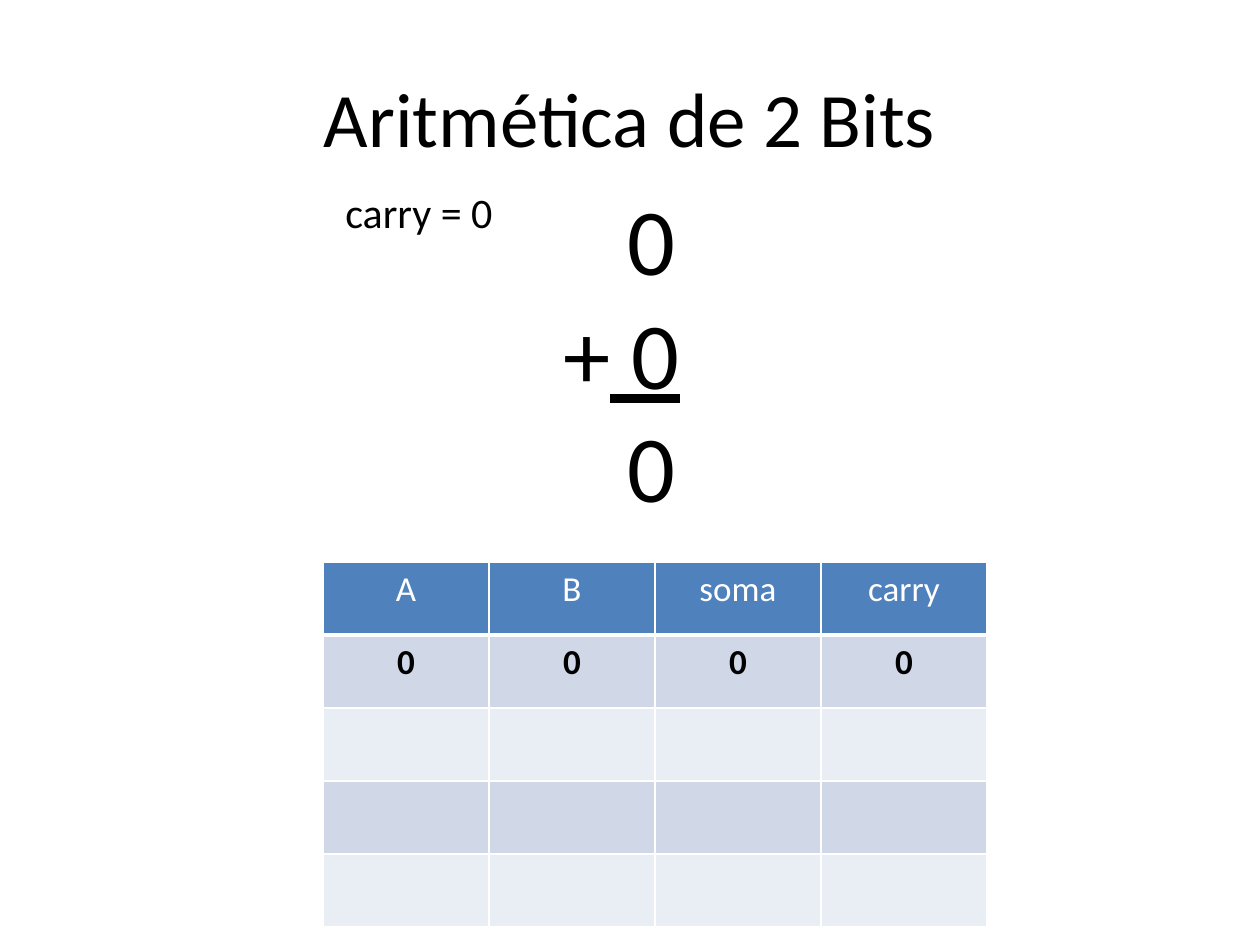
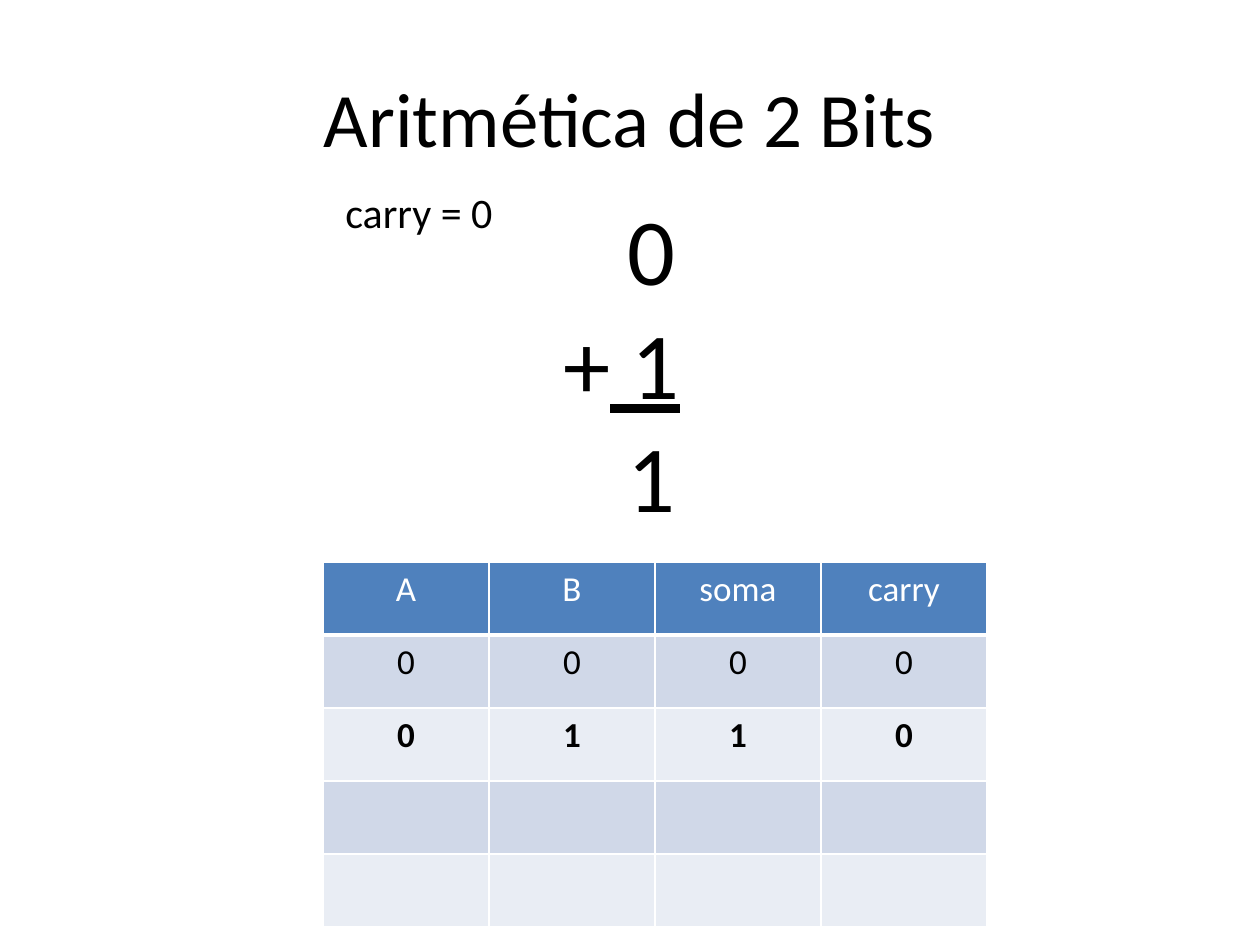
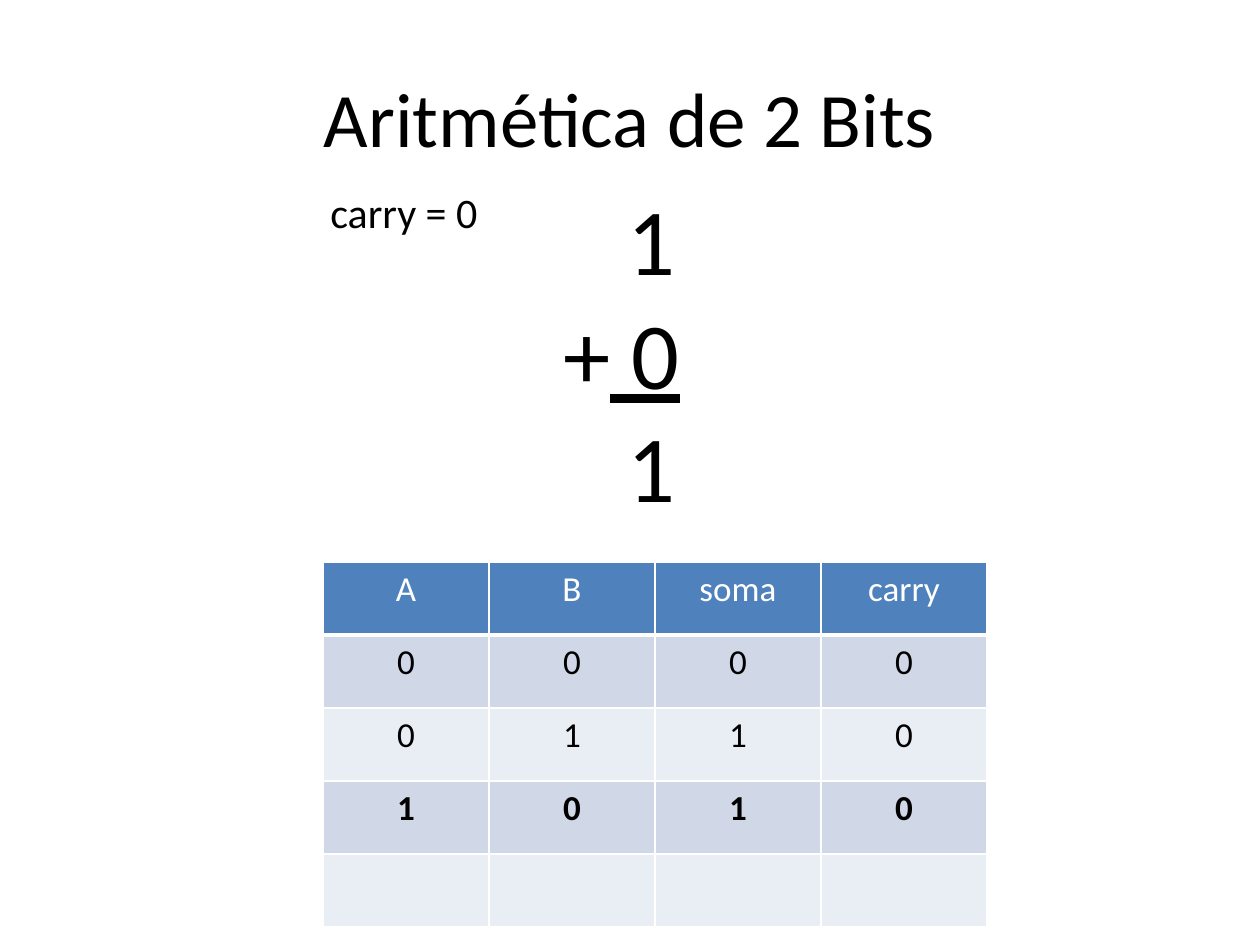
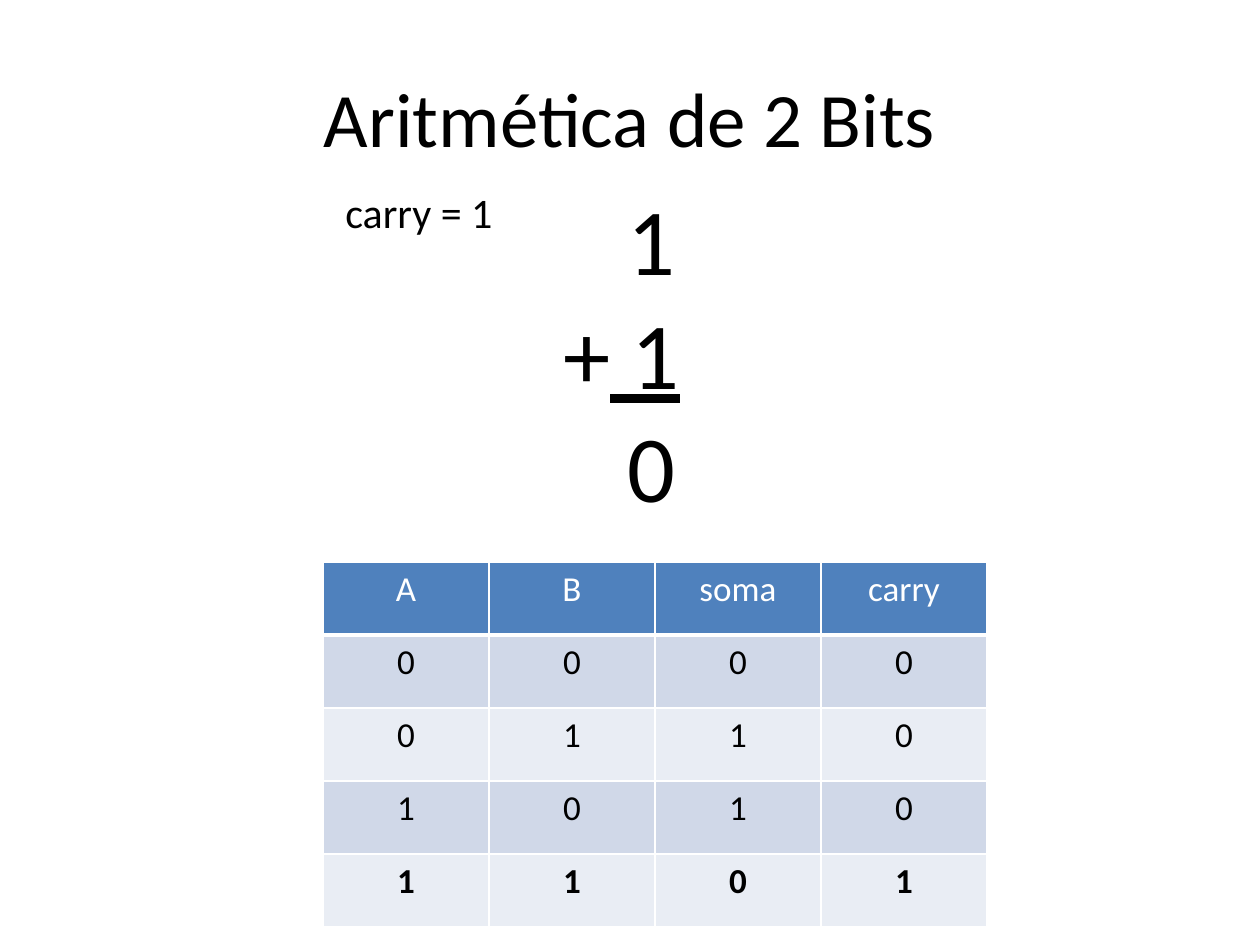
import itertools

import pptx
import pptx.dml.color
import pptx.enum.text
import pptx.oxml.ns
import pptx.util
from lxml import etree

# Shared look
PX = 914400 / 126
FONT = "Calibri"
COLORS = {
    "paper": "FFFFFF",
    "ink": "000000",
    "header": "4F81BD",
    "band_dark": "D0D8E8",
    "band_light": "E9EDF4",
}
TITLE = "Aritmética de 2 Bits"
HEADERS = ["A", "B", "soma", "carry"]
COLUMN_WIDTH, ROW_HEIGHT = 166, 73
DIGIT_INDENT = 64  # places a digit under the one that follows the plus sign

ALIGN = pptx.enum.text.PP_ALIGN
AUTO_SIZE = pptx.enum.text.MSO_AUTO_SIZE
ANCHOR = pptx.enum.text.MSO_ANCHOR


def px(*lengths):
    return [pptx.util.Emu(round(length * PX)) for length in lengths]


def add_span(para, text, size, color="ink", bold=False, underline=False):
    span = para.add_run()
    span.text = text
    span.font.name = FONT
    span.font.size = pptx.util.Pt(size)
    span.font.color.rgb = pptx.dml.color.RGBColor.from_string(COLORS[color])
    span.font.bold = bold
    span.font.underline = underline


deck = pptx.Presentation()
deck.slide_width, deck.slide_height = px(1260, 945)

# Truth table of the half adder: each slide reveals one more row
bit_pairs = itertools.product((0, 1), repeat=2)
additions = [(a, b, a ^ b, a & b) for a, b in bit_pairs]
sum_tops = [175, 185, 175, 175]
carry_lefts = [333, 333, 318, 333]

for step, (a, b, total, carry) in enumerate(additions):
    page = deck.slides.add_slide(deck.slide_layouts[6])

    # Title
    box = page.shapes.add_textbox(*px(63, 38, 1134, 158))
    box.text_frame.word_wrap = True
    box.text_frame.vertical_anchor = ANCHOR.MIDDLE
    para = box.text_frame.paragraphs[0]
    para.alignment = ALIGN.CENTER
    add_span(para, TITLE, 44)

    # Written addition
    box = page.shapes.add_textbox(*px(551, sum_tops[step], 228, 357))
    frame = box.text_frame
    frame.word_wrap = True
    frame.auto_size = AUTO_SIZE.SHAPE_TO_FIT_TEXT
    first, second, result = frame.paragraphs[0], frame.add_paragraph(), frame.add_paragraph()
    for para, digit in ((first, a), (result, total)):
        indent = px(DIGIT_INDENT)[0]
        para._p.get_or_add_pPr().set("marL", str(indent))
        add_span(para, str(digit), 54)
    add_span(second, "+", 54)
    add_span(second, f" {b}", 54, underline=True)

    # Truth table
    rows = [HEADERS] + additions[:step + 1]
    row_count, column_count = len(additions) + 1, len(HEADERS)
    table_size = (COLUMN_WIDTH * column_count, ROW_HEIGHT * row_count)
    table = page.shapes.add_table(row_count, column_count, *px(323, 562, *table_size)).table
    for column in table.columns:
        column.width = px(COLUMN_WIDTH)[0]
    for row_index, row in enumerate(table.rows):
        row.height = px(ROW_HEIGHT)[0]
        is_header = row_index == 0
        if is_header:
            fill_color = "header"
        else:
            fill_color = "band_dark" if row_index % 2 else "band_light"

        for column_index, cell in enumerate(row.cells):
            # Borders go before the fill in the cell properties
            properties = cell._tc.get_or_add_tcPr()
            for side in "LRTB":
                points = 3 if is_header and side == "B" else 1
                line = etree.SubElement(properties, pptx.oxml.ns.qn(f"a:ln{side}"))
                line.set("w", str(pptx.util.Pt(points)))
                solid = etree.SubElement(line, pptx.oxml.ns.qn("a:solidFill"))
                etree.SubElement(solid, pptx.oxml.ns.qn("a:srgbClr")).set("val", COLORS["paper"])
            cell.fill.solid()
            cell.fill.fore_color.rgb = pptx.dml.color.RGBColor.from_string(COLORS[fill_color])

            if row_index < len(rows):
                para = cell.text_frame.paragraphs[0]
                para.alignment = ALIGN.CENTER
                add_span(para, str(rows[row_index][column_index]), 20,
                         color="paper" if is_header else "ink",
                         bold=row_index == step + 1)

    # Carry note
    box = page.shapes.add_textbox(*px(carry_lefts[step], 180, 174, 63))
    box.text_frame.word_wrap = False
    box.text_frame.auto_size = AUTO_SIZE.SHAPE_TO_FIT_TEXT
    add_span(box.text_frame.paragraphs[0], f"carry = {carry}", 24)

deck.save("out.pptx")
